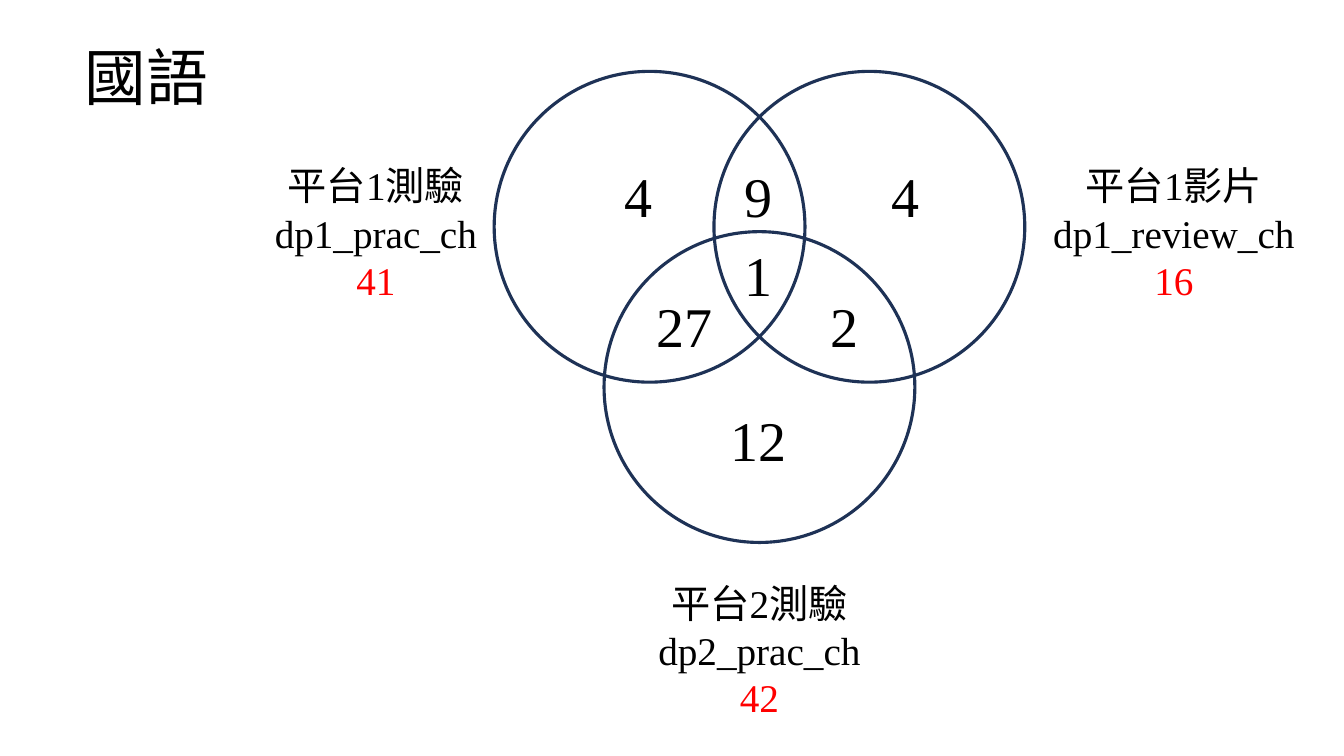
from pptx import Presentation
from pptx import util as u
from pptx.dml import color
from pptx.enum import shapes, text

ROMAN = "Times New Roman"
HAN = "Noto Sans CJK SC"
BLACK = "000000"
RED = "FF0000"


def rgb(code):
    return color.RGBColor.from_string(code)


def write(par, words, size=28, font=ROMAN, ink=BLACK, align=text.PP_ALIGN.CENTER):
    par.alignment = align
    run = par.add_run()
    run.text = words
    run.font.size = u.Pt(size)
    run.font.name = font
    run.font.color.rgb = rgb(ink)
    if font == HAN:
        props = run.font._element
        east = props.makeelement(
            "{http://schemas.openxmlformats.org/drawingml/2006/main}ea",
            {"typeface": font})
        props.append(east)


deck = Presentation()
deck.slide_width = u.Pt(960)
deck.slide_height = u.Pt(540)
slide = deck.slides.add_slide(deck.slide_layouts[6])

size = 222
for x, y in [(431.5, 165.5), (353, 51), (510, 51)]:
    ring = slide.shapes.add_shape(
        shapes.MSO_SHAPE.OVAL, u.Pt(x), u.Pt(y), u.Pt(size), u.Pt(size))
    ring.shadow.inherit = False
    ring.fill.background()
    ring.line.color.rgb = rgb("1E3256")
    ring.line.width = u.Pt(2.25)

wide = 108
counts = [("4", 456, 112), ("2", 603, 204.5), ("12", 542, 286),
          ("1", 542, 168.5), ("27", 489, 204.5), ("9", 542, 112), ("4", 647, 112)]
for count, mid, y in counts:
    box = slide.shapes.add_textbox(
        u.Pt(mid - wide / 2), u.Pt(y), u.Pt(wide), u.Pt(51))
    box.text_frame.word_wrap = True
    write(box.text_frame.paragraphs[0], count, size=40)

labels = [
    (174, 112, "1", "測驗", "dp1_prac_ch", "41"),
    (744, 112, "1", "影片", "dp1_review_ch", "16"),
    (448, 410, "2", "測驗", "dp2_prac_ch", "42"),
]
for x, y, num, kind, code, total in labels:
    box = slide.shapes.add_textbox(u.Pt(x), u.Pt(y), u.Pt(189), u.Pt(109))
    frame = box.text_frame
    frame.word_wrap = True
    head = frame.paragraphs[0]
    write(head, "平台", font=HAN)
    write(head, num)
    write(head, kind, font=HAN)
    write(frame.add_paragraph(), code)
    write(frame.add_paragraph(), total, ink=RED)

title = slide.shapes.add_textbox(u.Pt(53.5), u.Pt(24), u.Pt(174), u.Pt(60.5))
title.text_frame.word_wrap = True
write(title.text_frame.paragraphs[0], "國語", size=44, font=HAN,
      align=text.PP_ALIGN.LEFT)

deck.save("out.pptx")
